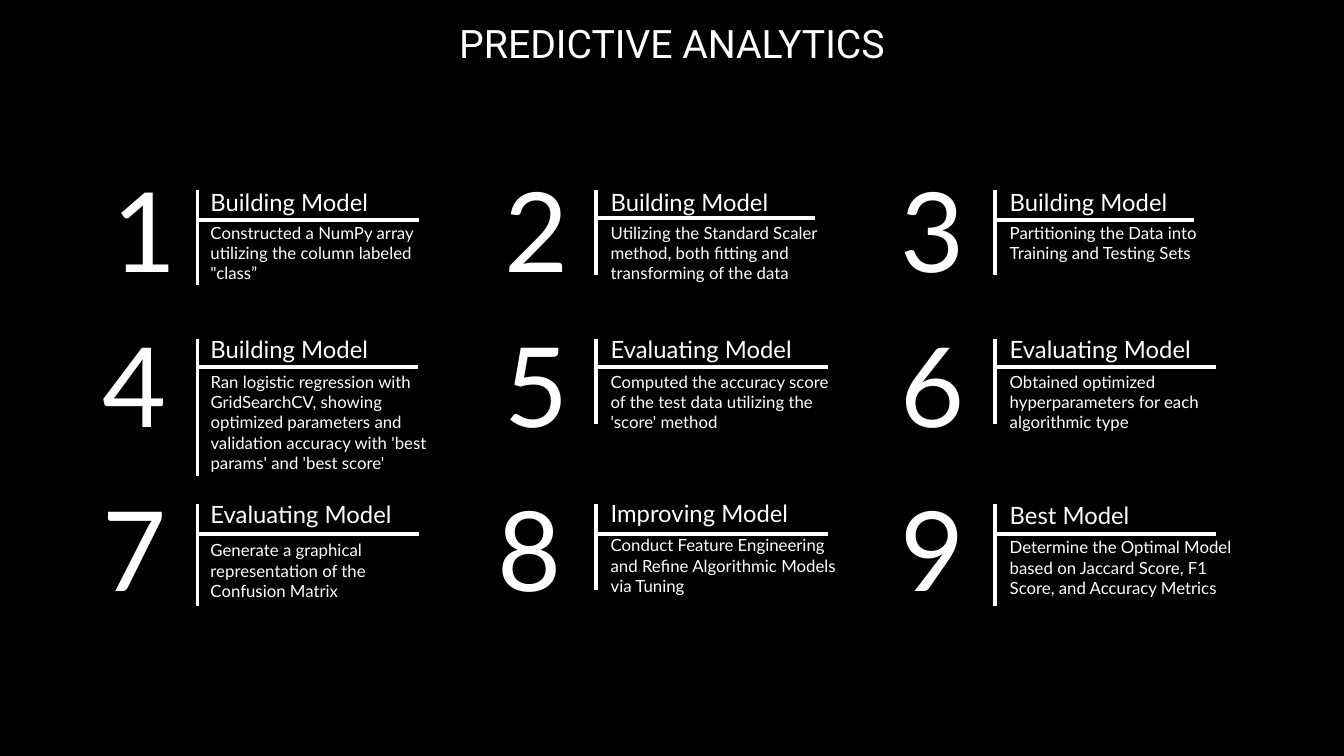
from dataclasses import dataclass

from lxml.etree import SubElement
from pptx import Presentation
from pptx.dml.color import RGBColor
from pptx.enum.shapes import MSO_CONNECTOR
from pptx.enum.text import MSO_AUTO_SIZE, PP_ALIGN
from pptx.oxml.ns import qn
from pptx.util import Pt


@dataclass
class Theme:
    background: RGBColor = RGBColor(0, 0, 0)
    ink: RGBColor = RGBColor(255, 255, 255)
    text_font: str = "Lato"
    title_font: str = "Roboto"
    title_size: float = 28
    number_size: float = 79
    heading_size: float = 17
    body_size: float = 12
    line_width: float = 2.75


@dataclass
class Step:
    heading: str
    body: str
    number_center: float
    stem_length: float
    rule_start: float
    rule_end: float
    rule_shift: float = 0
    heading_shift: float = 0
    body_shift: float = 0
    body_width: float = 177
    body_height: float = 51


theme = Theme()
presentation = Presentation()
presentation.slide_width = Pt(960)
presentation.slide_height = Pt(540)
slide = presentation.slides.add_slide(presentation.slide_layouts[6])
slide.background.fill.solid()
slide.background.fill.fore_color.rgb = theme.background


def add_text(text, left, top, width, height, size, font=theme.text_font,
             align=PP_ALIGN.LEFT, spacing=None):
    shape = slide.shapes.add_textbox(Pt(left), Pt(top), Pt(width), Pt(height))
    shape.text_frame.word_wrap = True
    shape.text_frame.auto_size = MSO_AUTO_SIZE.SHAPE_TO_FIT_TEXT
    paragraph = shape.text_frame.paragraphs[0]
    paragraph.alignment = align
    paragraph.line_spacing = spacing
    run = paragraph.add_run()
    run.text = text
    run.font.name = font
    run.font.size = Pt(size)
    run.font.color.rgb = theme.ink


def add_line(x1, y1, x2, y2):
    line = slide.shapes.add_connector(
        MSO_CONNECTOR.STRAIGHT, Pt(x1), Pt(y1), Pt(x2), Pt(y2))
    line.line.color.rgb = theme.ink
    line.line.width = Pt(theme.line_width)
    SubElement(line._element.spPr, qn("a:effectLst"))


steps = [
    Step("Building Model",
         "Constructed a NumPy array utilizing the column labeled \"class”",
         103, 68.4, 141.1, 299.5),
    Step("Building Model",
         "Utilizing the Standard Scaler method, both fitting and transforming of the data",
         383.4, 61.2, 424.1, 582.5, rule_shift=-1.5),
    Step("Building Model",
         "Partitioning the Data into Training and Testing Sets",
         666.4, 61.2, 710.6, 853.2, body_height=36),
    Step("Building Model",
         "Ran logistic regression with GridSearchCV, showing optimized parameters "
         "and validation accuracy with 'best params' and 'best score'",
         96.5, 97.9, 140.4, 298.8, body_width=190, body_height=80),
    Step("Evaluating Model",
         "Computed the accuracy score of the test data utilizing the 'score' method",
         383.4, 61.2, 424.8, 591.1),
    Step("Evaluating Model",
         "Obtained optimized hyperparameters for each algorithmic type",
         666.4, 61.2, 709.9, 868.3),
    Step("Evaluating Model",
         "Generate a graphical representation of the Confusion Matrix",
         96.5, 72.7, 141.1, 299.5, body_shift=2.2),
    Step("Improving Model",
         "Conduct Feature Engineering and Refine Algorithmic Models via Tuning",
         378.4, 61.2, 424.1, 591.1, heading_shift=-0.7, body_shift=-1.4),
    Step("Best Model",
         "Determine the Optimal Model based on Jaccard Score, F1 Score, "
         "and Accuracy Metrics",
         666.4, 72.7, 709.9, 868.3, heading_shift=0.7),
]

columns = [(141.1, 143.3), (425.5, 429.1), (710.6, 714.2)]
rows = [
    (112.3, 135.4, 132.5, 157, 155.5),
    (222.5, 241.9, 237.6, 262.1, 262.1),
    (339.8, 360, 355.7, 381.6, 380.1),
]
number_width = 116

add_text("PREDICTIVE ANALYTICS", 0, 10.3, 960, 40, theme.title_size,
         theme.title_font, PP_ALIGN.CENTER)

for index, step in enumerate(steps):
    row, column = divmod(index, len(columns))
    stem_x, text_left = columns[column]
    number_top, stem_top, heading_top, rule_y, body_top = rows[row]
    rule_y += step.rule_shift

    add_text(str(index + 1), step.number_center - number_width / 2, number_top,
             number_width, 103, theme.number_size, align=PP_ALIGN.CENTER)
    add_text(step.heading, text_left, heading_top + step.heading_shift,
             160, 25.2, theme.heading_size, spacing=Pt(18.4))
    add_text(step.body, text_left, body_top + step.body_shift,
             step.body_width, step.body_height, theme.body_size)
    add_line(stem_x, stem_top, stem_x, stem_top + step.stem_length)
    add_line(step.rule_start, rule_y, step.rule_end, rule_y)

presentation.save("out.pptx")
